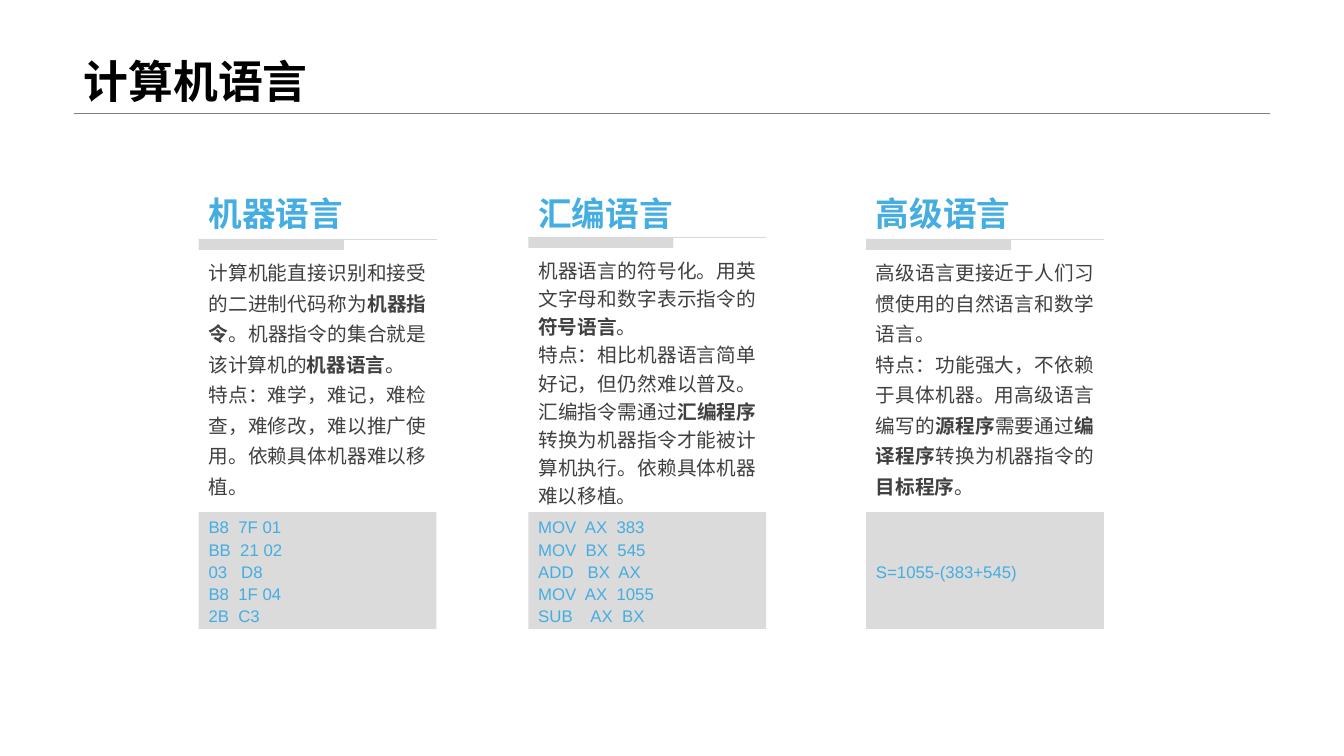
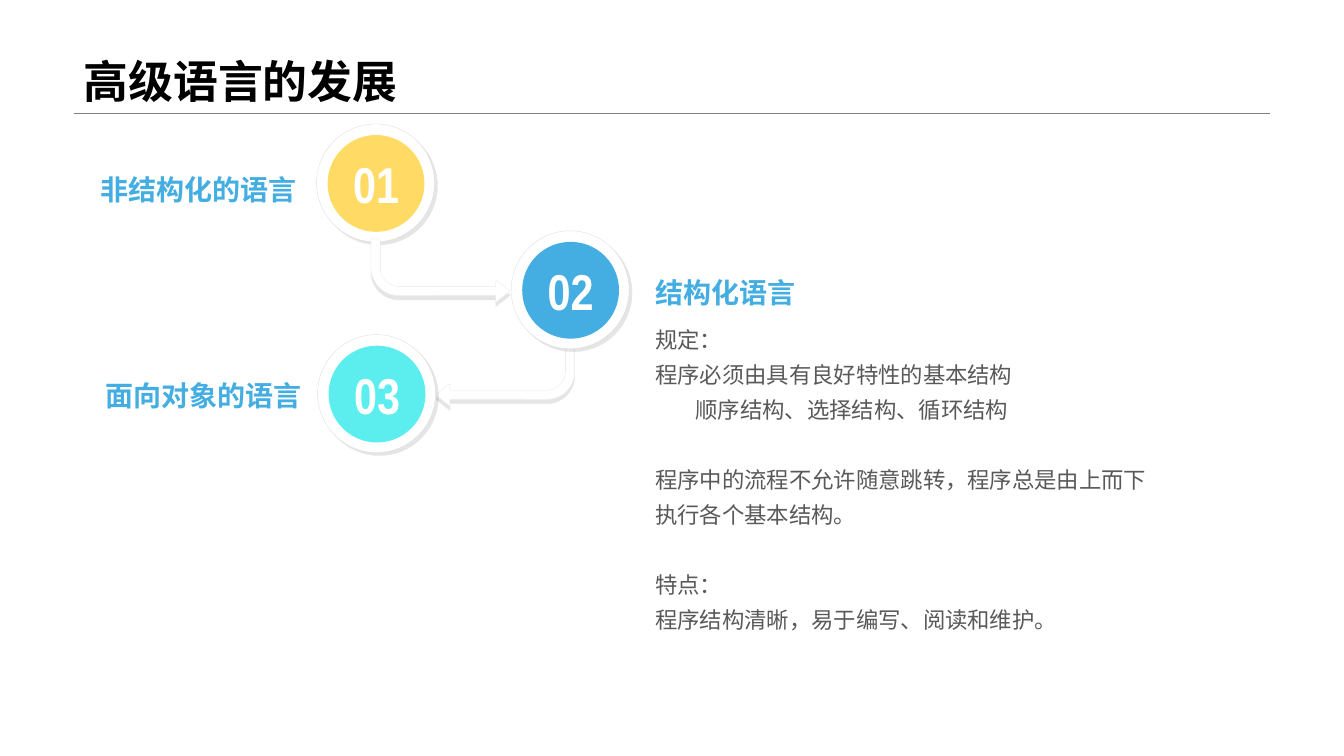
from dataclasses import dataclass

from lxml import etree
from pptx import Presentation
from pptx.dml.color import RGBColor
from pptx.enum.shapes import MSO_CONNECTOR, MSO_SHAPE
from pptx.enum.text import MSO_ANCHOR, MSO_AUTO_SIZE, PP_ALIGN
from pptx.oxml.ns import qn
from pptx.util import Emu, Pt

STRAIGHT = MSO_CONNECTOR.STRAIGHT
RECTANGLE, OVAL, BENT_ARROW = MSO_SHAPE.RECTANGLE, MSO_SHAPE.OVAL, MSO_SHAPE.BENT_ARROW
TOP, MIDDLE, BOTTOM = MSO_ANCHOR.TOP, MSO_ANCHOR.MIDDLE, MSO_ANCHOR.BOTTOM
LEFT, CENTER, RIGHT, JUSTIFY = PP_ALIGN.LEFT, PP_ALIGN.CENTER, PP_ALIGN.RIGHT, PP_ALIGN.JUSTIFY
NO_AUTOFIT = MSO_AUTO_SIZE.NONE
EMU_PER_PX = 9144
TITLE_ONLY = 5


@dataclass(frozen=True)
class TextStyle:
    size: int
    font: str
    color: str
    bold: bool = False
    align: PP_ALIGN = LEFT
    spacing: float = 1.0


@dataclass(frozen=True)
class Theme:
    heading_font: str = "Noto Sans CJK SC"
    body_font: str = "Arial"
    number_font: str = "Arial Narrow"
    black: str = "000000"
    white: str = "FFFFFF"
    blue: str = "44ADE1"
    yellow: str = "FFDB65"
    cyan: str = "5CEEEE"
    body: str = "404040"
    note: str = "595959"
    panel: str = "DBDBDB"
    tab: str = "D9D9D9"
    title_rule: str = "808080"
    ring_line: str = "DDDDDD"
    arrow_line: str = "EAEAEA"


THEME = Theme()
TITLE = TextStyle(32, THEME.heading_font, THEME.black, True, spacing=0.9)
HEADING = TextStyle(24, THEME.heading_font, THEME.blue, True)
LABEL = TextStyle(20, THEME.heading_font, THEME.blue, True)
LABEL_RIGHT = TextStyle(20, THEME.heading_font, THEME.blue, True, RIGHT)
BODY = TextStyle(14, THEME.body_font, THEME.body, align=JUSTIFY, spacing=1.3)
BODY_TIGHT = TextStyle(14, THEME.body_font, THEME.body, align=JUSTIFY, spacing=1.2)
CODE = TextStyle(12, THEME.body_font, THEME.blue, align=JUSTIFY, spacing=1.1)
NOTE = TextStyle(16, THEME.body_font, THEME.note, spacing=1.3)
NUMBER = TextStyle(36, THEME.number_font, THEME.white, True, CENTER)

LANGUAGES = [
    (197, 0, "机器语言", BODY,
     ["计算机能直接识别和接受的二进制代码称为*机器指令*。机器指令的集合就是该计算机的*机器语言*。",
      "特点：难学，难记，难检查，难修改，难以推广使用。依赖具体机器难以移植。"],
     ["B8  7F 01", "BB  21 02", "03   D8", "B8  1F 04", "2B  C3"]),
    (524, 2, "汇编语言", BODY_TIGHT,
     ["机器语言的符号化。用英文字母和数字表示指令的*符号语言*。",
      "特点：相比机器语言简单好记，但仍然难以普及。汇编指令需通过*汇编程序*"
      "转换为机器指令才能被计算机执行。依赖具体机器难以移植。"],
     ["MOV  AX  383", "MOV  BX  545", "ADD   BX  AX", "MOV  AX  1055", "SUB    AX  BX"]),
    (859, 0, "高级语言", BODY,
     ["高级语言更接近于人们习惯使用的自然语言和数学语言。",
      "特点：功能强大，不依赖于具体机器。用高级语言编写的*源程序*需要通过*编译程序*"
      "转换为机器指令的*目标程序*。"],
     ["S=1055-(383+545)"]),
]
RULES = [
    ("规定：", 0, 0),
    ("程序必须由具有良好特性的基本结构", 0, 0),
    ("顺序结构、选择结构、循环结构", 40, 0),
    ("程序中的流程不允许随意跳转，程序总是由上而下执行各个基本结构。", 0, 25),
    ("特点：", 0, 25),
    ("程序结构清晰，易于编写、阅读和维护。", 0, 0),
]


def px(length):
    return Emu(length * EMU_PER_PX)


def box(*lengths):
    return [px(length) for length in lengths]


def rgb(color):
    return RGBColor.from_string(color)


def set_attributes(target, values):
    for name, value in values.items():
        setattr(target, name, value)


def write_text(frame, paragraphs, style, anchor=TOP, margin=None):
    set_attributes(frame, {"word_wrap": True, "auto_size": NO_AUTOFIT, "vertical_anchor": anchor})
    if margin is not None:
        sides = ("left", "top", "right", "bottom")
        set_attributes(frame, {f"margin_{side}": px(margin) for side in sides})
    for index, text in enumerate(paragraphs):
        paragraph = frame.add_paragraph() if index else frame.paragraphs[0]
        set_attributes(paragraph, {"alignment": style.align, "line_spacing": style.spacing})
        for position, part in enumerate(text.split("*")):
            run = paragraph.add_run()
            run.text = part
            set_attributes(run.font, {"size": Pt(style.size), "name": style.font,
                                      "bold": style.bold or position % 2 == 1})
            run.font.color.rgb = rgb(style.color)
            east_asian = etree.SubElement(run.font._element, qn("a:ea"))
            east_asian.set("typeface", style.font)


def add_text(slide, bounds, paragraphs, style, anchor=TOP):
    frame = slide.shapes.add_textbox(*box(*bounds)).text_frame
    write_text(frame, paragraphs, style, anchor)
    return frame


def add_filled(slide, kind, bounds, fill, line=None):
    shape = slide.shapes.add_shape(kind, *box(*bounds))
    shape.shadow.inherit = False
    shape.fill.solid()
    shape.fill.fore_color.rgb = rgb(fill)
    if line:
        shape.line.color.rgb = rgb(line)
        shape.line.width = Pt(0.25)
    else:
        shape.line.fill.background()
    return shape


def add_shadow(shape, degrees):
    effects = shape.element.spPr.find(qn("a:effectLst"))
    shadow = etree.SubElement(effects, qn("a:outerShdw"), blurRad="0", dist=str(Pt(3)),
                              dir=str(degrees * 60000), algn="ctr", rotWithShape="0")
    color = etree.SubElement(shadow, qn("a:srgbClr"), val=THEME.black)
    etree.SubElement(color, qn("a:alpha"), val="10000")


def add_rule(slide, left, top, width, color, weight):
    rule = slide.shapes.add_connector(STRAIGHT, *box(left, top, left + width, top))
    rule.line.color.rgb = rgb(color)
    rule.line.width = Pt(weight)
    etree.SubElement(rule.element.spPr, qn("a:effectLst"))
    return rule


def share_title_rule(slide):
    rule = add_rule(slide, 73, 112, 1187, THEME.title_rule, 0.25)
    slide.slide_layout.shapes.element.append(rule.element)


def add_titled_slide(presentation, text):
    slide = presentation.slides.add_slide(presentation.slide_layouts[TITLE_ONLY])
    title = slide.shapes.title
    set_attributes(title, dict(zip(("left", "top", "width", "height"), box(73, 0, 1187, 112))))
    write_text(title.text_frame, [text], TITLE, BOTTOM)
    return slide


def add_language_column(slide, left, lift, heading, body_style, body, code):
    top, width = 189, 236
    rule_top = top + 48 - lift
    add_text(slide, (left, top, width, 47), [heading], HEADING, BOTTOM)
    add_text(slide, (left, top + 58, width, 268), body, body_style)
    panel = add_filled(slide, RECTANGLE, (left, top + 319, width, 116), THEME.panel)
    write_text(panel.text_frame, code, CODE, MIDDLE)
    add_filled(slide, RECTANGLE, (left, rule_top, 144, 11), THEME.tab)
    add_rule(slide, left, rule_top, width, THEME.tab, 0.5)


def add_step(slide, left, top, number, color):
    inset, disk_size = 11, 96
    ring_size = disk_size + 2 * inset - 1
    ring = add_filled(slide, OVAL, (left - inset, top - inset, ring_size, ring_size),
                      THEME.white, THEME.ring_line)
    add_shadow(ring, 45)
    disk = add_filled(slide, OVAL, (left, top, disk_size, disk_size), color)
    write_text(disk.text_frame, [number], NUMBER, MIDDLE, 0)


def add_turn(slide, left, top, flips):
    arrow = add_filled(slide, BENT_ARROW, (left, top, 138, 63), THEME.white, THEME.arrow_line)
    for index, value in enumerate((0.146, 0.178, 0.226, 0.438)):
        arrow.adjustments[index] = value
    for flip in flips:
        arrow.element.spPr.xfrm.set(flip, "1")
    add_shadow(arrow, 90)


def add_rules_text(slide, left, top, width, height):
    frame = add_text(slide, (left, top, width, height), [text for text, _, _ in RULES], NOTE)
    for paragraph, (_, indent, gap) in zip(frame.paragraphs, RULES):
        if indent:
            paragraph._p.get_or_add_pPr().set("marL", str(px(indent)))
        if gap:
            paragraph.space_before = Pt(gap)


def build_languages(presentation):
    slide = add_titled_slide(presentation, "计算机语言")
    share_title_rule(slide)
    for column in LANGUAGES:
        add_language_column(slide, *column)


def build_development(presentation):
    slide = add_titled_slide(presentation, "高级语言的发展")
    add_step(slide, 325, 134, "01", THEME.yellow)
    add_turn(slide, 432, 340, ("flipH", "flipV"))
    add_turn(slide, 368, 237, ("flipV",))
    add_step(slide, 518, 240, "02", THEME.blue)
    add_step(slide, 326, 343, "03", THEME.cyan)
    for left, top, text, style in ((0, 163, "非结构化的语言", LABEL_RIGHT),
                                   (5, 368, "面向对象的语言", LABEL_RIGHT),
                                   (640, 265, "结构化语言", LABEL)):
        add_text(slide, (left, top, 304, 49), [text], style, MIDDLE)
    add_rules_text(slide, 640, 311, 526, 337)


def main():
    presentation = Presentation()
    set_attributes(presentation, {"slide_width": px(1333), "slide_height": px(750)})
    build_languages(presentation)
    build_development(presentation)
    presentation.save("out.pptx")


if __name__ == "__main__":
    main()
